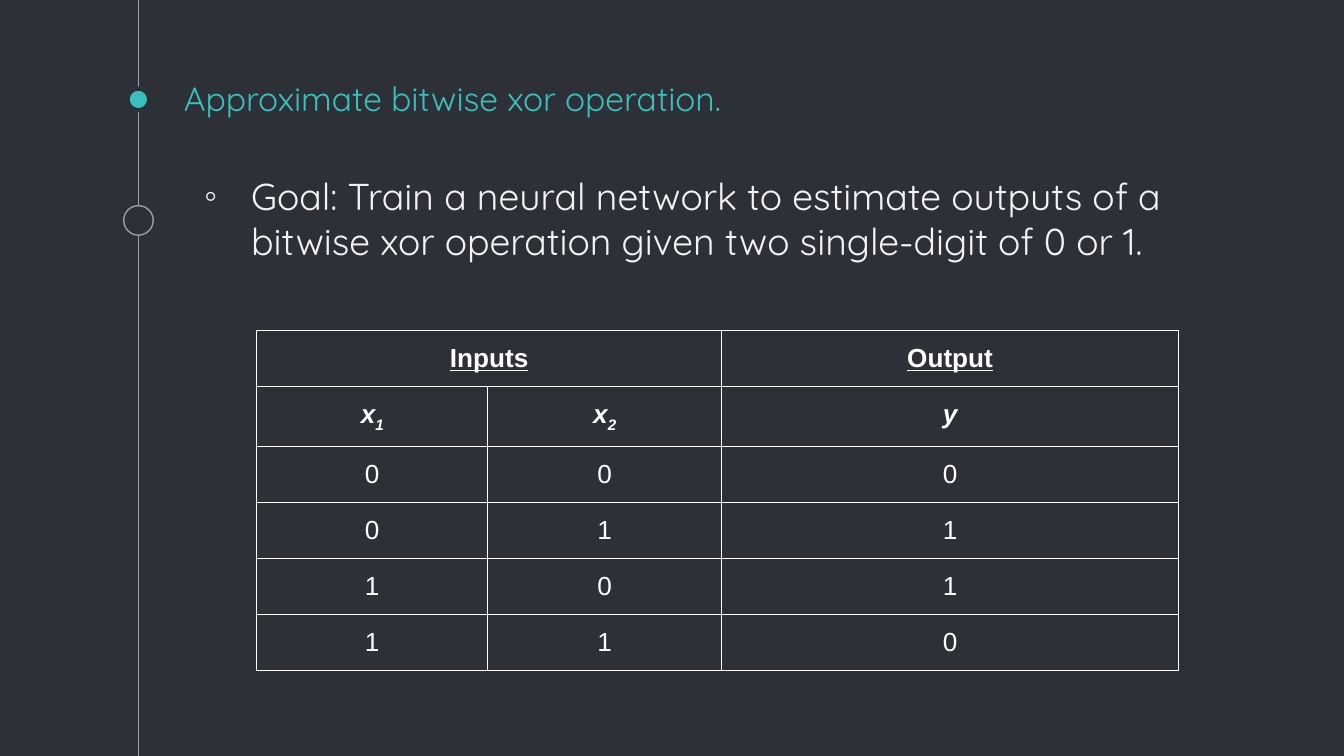
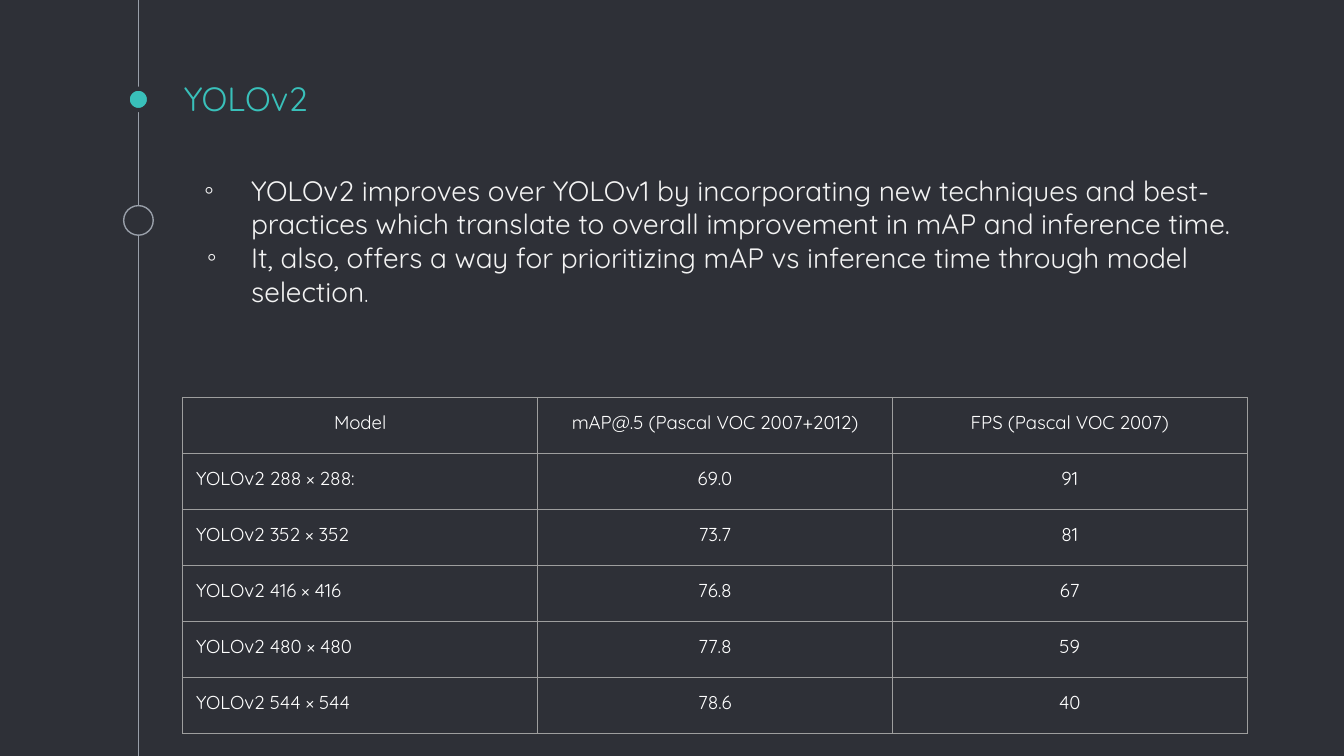
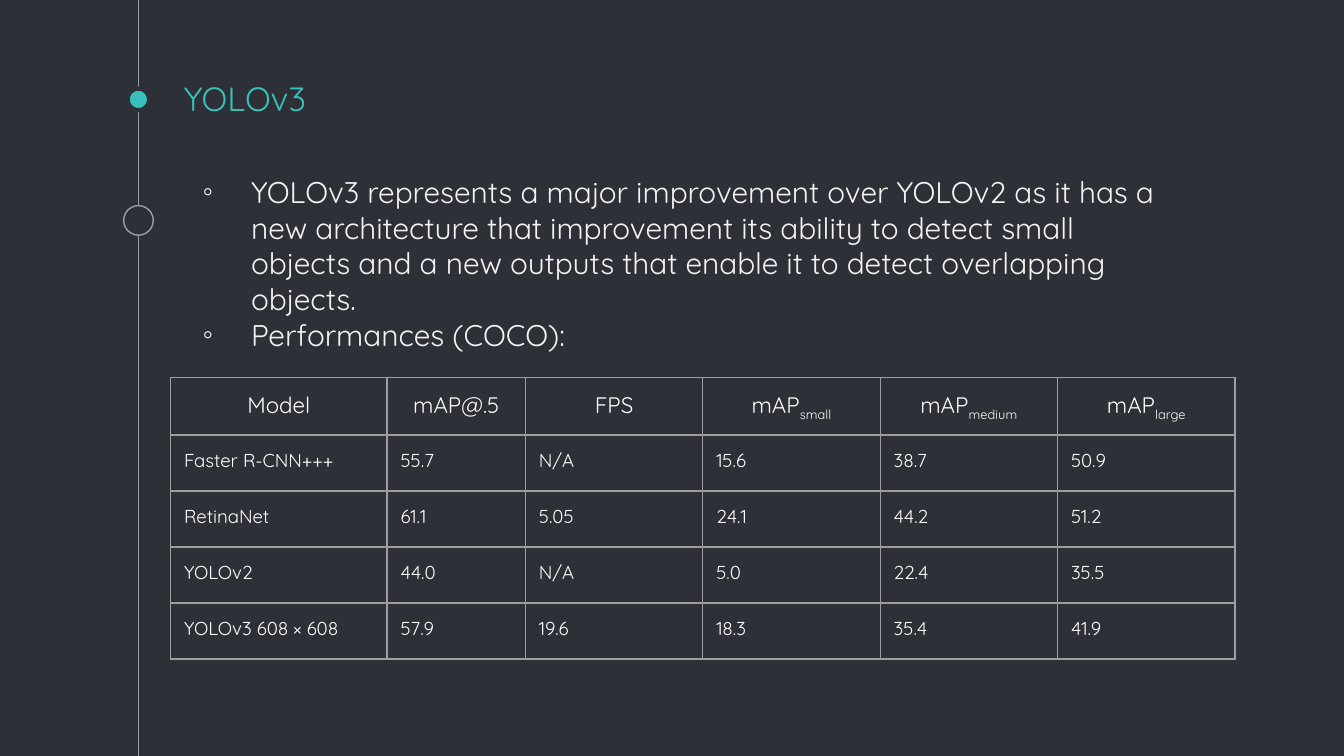
import lxml.etree
import pptx
import pptx.dml.color
import pptx.enum.shapes
import pptx.enum.text
import pptx.oxml.ns
import pptx.util

Inches = pptx.util.Inches
Pt = pptx.util.Pt
RGBColor = pptx.dml.color.RGBColor
qn = pptx.oxml.ns.qn
ALIGN = pptx.enum.text.PP_ALIGN
ANCHOR = pptx.enum.text.MSO_ANCHOR
SHAPE = pptx.enum.shapes.MSO_SHAPE

BACKGROUND = RGBColor(0x2E, 0x30, 0x37)
ACCENT = RGBColor(0x39, 0xC0, 0xBA)
SPINE = RGBColor(0x99, 0x9F, 0xA9)
BODY = RGBColor(0xF3, 0xF3, 0xF3)
WHITE = RGBColor(0xFF, 0xFF, 0xFF)
GRID = RGBColor(0x9E, 0x9E, 0x9E)

FONT = "Quicksand"
BULLET_FONT = "Arial"
WIDTH = 10
HEIGHT = WIDTH * 9 / 16
SPINE_X = 1.03
TEXT_LEFT = 1.27
MARGIN = 0.1
ROW_HEIGHT = 5 / 12

# Bullets are (hanging indent, [(text, size), ...]).
# In table cells, "_" starts a subscript and None continues a merged cell.
SLIDES = [
    {
        "title": "Approximate bitwise xor operation.",
        "body_size": (8.05, 4.07),
        "bullets": [
            (0.35, [("Goal: Train a neural network to estimate outputs of a "
                     "bitwise xor operation given two single-digit of 0 or 1.", 20)]),
        ],
        "table": {
            "at": (1.91, 2.46),
            "cols": [1.72, 1.74, 3.4],
            "border": WHITE,
            "font": "Arial",
            "size": 14,
            "bottom_margin": 0.08,
            "row_styles": [{"bold": True, "underline": True},
                           {"bold": True, "italic": True}],
            "rows": [
                ["Inputs", None, "Output"],
                ["x_1", "x_2", "y"],
                ["0", "0", "0"],
                ["0", "1", "1"],
                ["1", "0", "1"],
                ["1", "1", "0"],
            ],
        },
    },
    {
        "title": "YOLOv2",
        "body_size": (8.25, 2.21),
        "bullets": [
            (0.35, [("YOLOv2 improves over YOLOv1 by incorporating new techniques and "
                     "best-practices which translate to overall improvement in mAP "
                     "and inference time.", 15)]),
            (0.33, [("It, also, offers a way for prioritizing mAP vs inference time "
                     "through model selection", 15), (".", 12)]),
        ],
        "table": {
            "at": (1.36, 2.96),
            "cols": [2.64] * 3,
            "border": GRID,
            "size": 10,
            "left_columns": 1,
            "rows": [
                ["Model", "mAP@.5 (Pascal VOC 2007+2012)", "FPS (Pascal VOC 2007)"],
                ["YOLOv2 288 × 288:", "69.0", "91"],
                ["YOLOv2 352 × 352", "73.7", "81"],
                ["YOLOv2 416 × 416", "76.8", "67"],
                ["YOLOv2 480 × 480", "77.8", "59"],
                ["YOLOv2 544 × 544", "78.6", "40"],
            ],
        },
    },
    {
        "title": "YOLOv3",
        "body_size": (7.5, 4.07),
        "bullets": [
            (0.36, [("YOLOv3 represents a major improvement over YOLOv2 as it has a new "
                     "architecture that improvement its ability to detect small objects "
                     "and a new outputs that enable it to detect overlapping objects.", 16)]),
            (0.36, [("Performances (COCO):", 16)]),
        ],
        "table": {
            "at": (1.27, 2.81),
            "cols": [1.61, 1.03] + [1.32] * 4,
            "border": GRID,
            "size": 10,
            "header_size": 12,
            "left_columns": 6,
            "rows": [
                ["Model", "mAP@.5", "FPS", "mAP_small", "mAP_medium", "mAP_large"],
                ["Faster R-CNN+++", "55.7", "N/A", "15.6", "38.7", "50.9"],
                ["RetinaNet", "61.1", "5.05", "24.1", "44.2", "51.2"],
                ["YOLOv2", "44.0", "N/A", "5.0", "22.4", "35.5"],
                ["YOLOv3 608 × 608", "57.9", "19.6", "18.3", "35.4", "41.9"],
            ],
        },
    },
]


def add_run(p, text, size, color, font=FONT, **style):
    r = p.add_run()
    r.text = text
    r.font.name = font
    r.font.size = Pt(size)
    r.font.color.rgb = color
    for name, value in style.items():
        setattr(r.font, name, value)
    return r


def set_margins(target, bottom=MARGIN):
    target.margin_left = target.margin_right = target.margin_top = Inches(MARGIN)
    target.margin_bottom = Inches(bottom)


def add_text_frame(s, *at):
    tf = s.shapes.add_textbox(*map(Inches, at)).text_frame
    tf.word_wrap = True
    set_margins(tf)
    return tf


def add_dot(s, center_y, diameter, fill, line, weight):
    sp = s.shapes.add_shape(SHAPE.OVAL, Inches(SPINE_X - diameter / 2),
                            Inches(center_y - diameter / 2),
                            Inches(diameter), Inches(diameter))
    sp.shadow.inherit = False
    sp.fill.solid()
    sp.fill.fore_color.rgb = fill
    sp.line.color.rgb = line
    sp.line.width = Pt(weight)


def add_spine(s):
    """Draw the vertical timeline with its title dot and open ring."""
    line = s.shapes.add_connector(pptx.enum.shapes.MSO_CONNECTOR.STRAIGHT,
                                  Inches(SPINE_X), 0, Inches(SPINE_X), Inches(HEIGHT))
    line.line.color.rgb = SPINE
    line.line.width = Pt(0.75)
    lxml.etree.SubElement(line._element.spPr, qn("a:effectLst"))
    add_dot(s, 0.74, 0.16, ACCENT, BACKGROUND, 2.25)
    add_dot(s, 1.64, 0.22, BACKGROUND, SPINE, 0.75)


def add_title(s, text):
    tf = add_text_frame(s, TEXT_LEFT, 0.6, 7.5, 0.38)
    tf.vertical_anchor = ANCHOR.BOTTOM
    add_run(tf.paragraphs[0], text, 18, ACCENT)


def set_bullet(p, hanging):
    pPr = p._p.get_or_add_pPr()
    pPr.set("marL", str(Inches(0.5)))
    pPr.set("indent", str(-Inches(hanging)))
    color = lxml.etree.SubElement(pPr, qn("a:buClr"))
    lxml.etree.SubElement(color, qn("a:srgbClr"), val=str(BODY))
    lxml.etree.SubElement(pPr, qn("a:buFont"), typeface=BULLET_FONT)
    lxml.etree.SubElement(pPr, qn("a:buChar"), char="◦")


def add_bullets(s, bullets, size):
    tf = add_text_frame(s, TEXT_LEFT, 1.19, *size)
    for i, (hanging, runs) in enumerate(bullets):
        p = tf.add_paragraph() if i else tf.paragraphs[0]
        set_bullet(p, hanging)
        for text, points in runs:
            add_run(p, text, points, BODY)


def set_borders(cell, color):
    tcPr = cell._tc.get_or_add_tcPr()
    for i, side in enumerate("LRTB"):
        ln = lxml.etree.Element(qn(f"a:ln{side}"), w=str(Pt(0.75)))
        fill = lxml.etree.SubElement(ln, qn("a:solidFill"))
        lxml.etree.SubElement(fill, qn("a:srgbClr"), val=str(color))
        tcPr.insert(i, ln)


def add_table(s, at, cols, rows, border, size, font=FONT, header_size=None,
              left_columns=0, row_styles=(), bottom_margin=MARGIN):
    """Header cells are centred; body cells in the first left_columns are not."""
    frame = s.shapes.add_table(len(rows), len(cols), *map(Inches, at),
                               Inches(sum(cols)), Inches(ROW_HEIGHT * len(rows)))
    table = frame.table
    table.first_row = table.horz_banding = False
    for column, width in zip(table.columns, cols):
        column.width = Inches(width)
    for i, row in enumerate(rows):
        table.rows[i].height = Inches(ROW_HEIGHT)
        style = row_styles[i] if i < len(row_styles) else {}
        points = header_size if header_size and i == 0 else size
        for j, text in enumerate(row):
            cell = table.cell(i, j)
            set_margins(cell, bottom_margin)
            cell.fill.background()
            set_borders(cell, border)
            if text is None:
                table.cell(i, j - 1).merge(cell)
                continue
            p = cell.text_frame.paragraphs[0]
            p.alignment = ALIGN.LEFT if i and j < left_columns else ALIGN.CENTER
            base, _, subscript = text.partition("_")
            add_run(p, base, points, WHITE, font, **style)
            if subscript:
                r = add_run(p, subscript, points, WHITE, font, **style)
                r._r.get_or_add_rPr().set("baseline", "-25000")


def main():
    prs = pptx.Presentation()
    prs.slide_width, prs.slide_height = Inches(WIDTH), Inches(HEIGHT)
    background = prs.slide_master.background.fill
    background.solid()
    background.fore_color.rgb = BACKGROUND
    for content in SLIDES:
        s = prs.slides.add_slide(prs.slide_layouts[6])
        add_spine(s)
        add_title(s, content["title"])
        add_bullets(s, content["bullets"], content["body_size"])
        add_table(s, **content["table"])
    prs.save("out.pptx")


if __name__ == "__main__":
    main()
